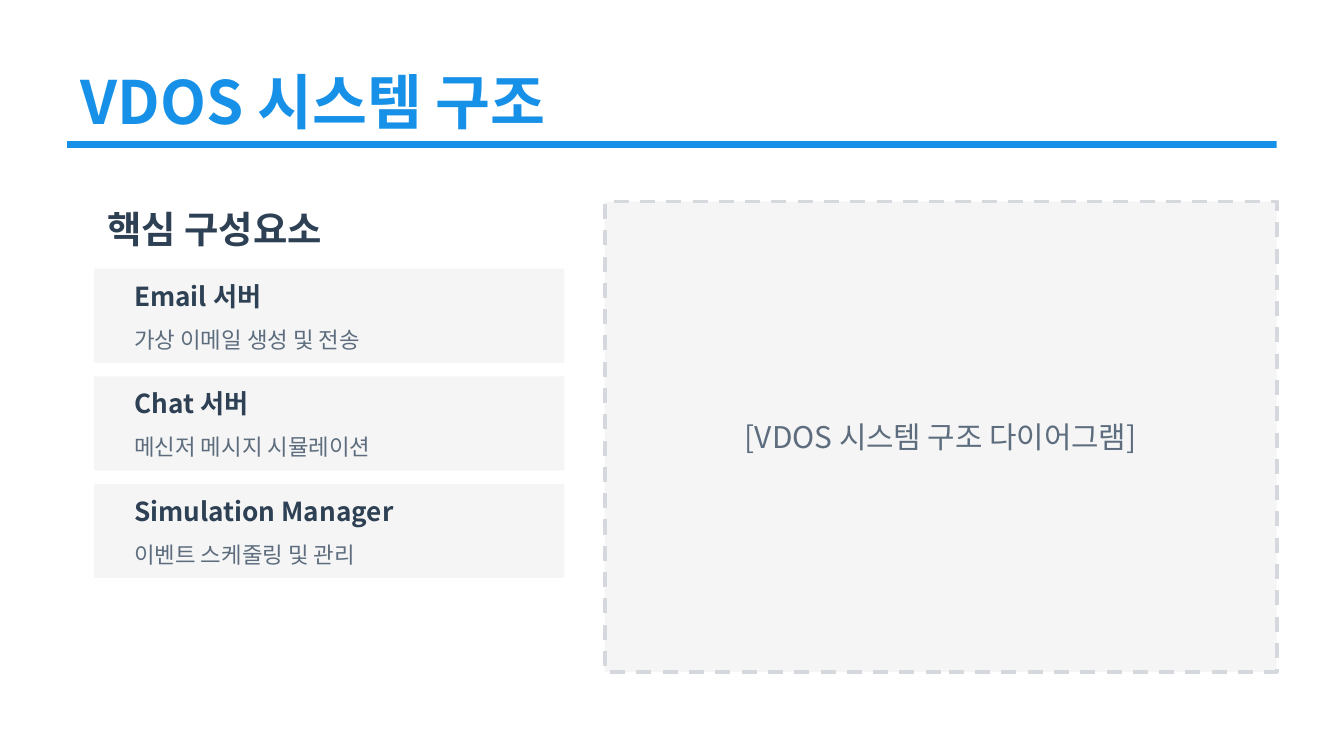
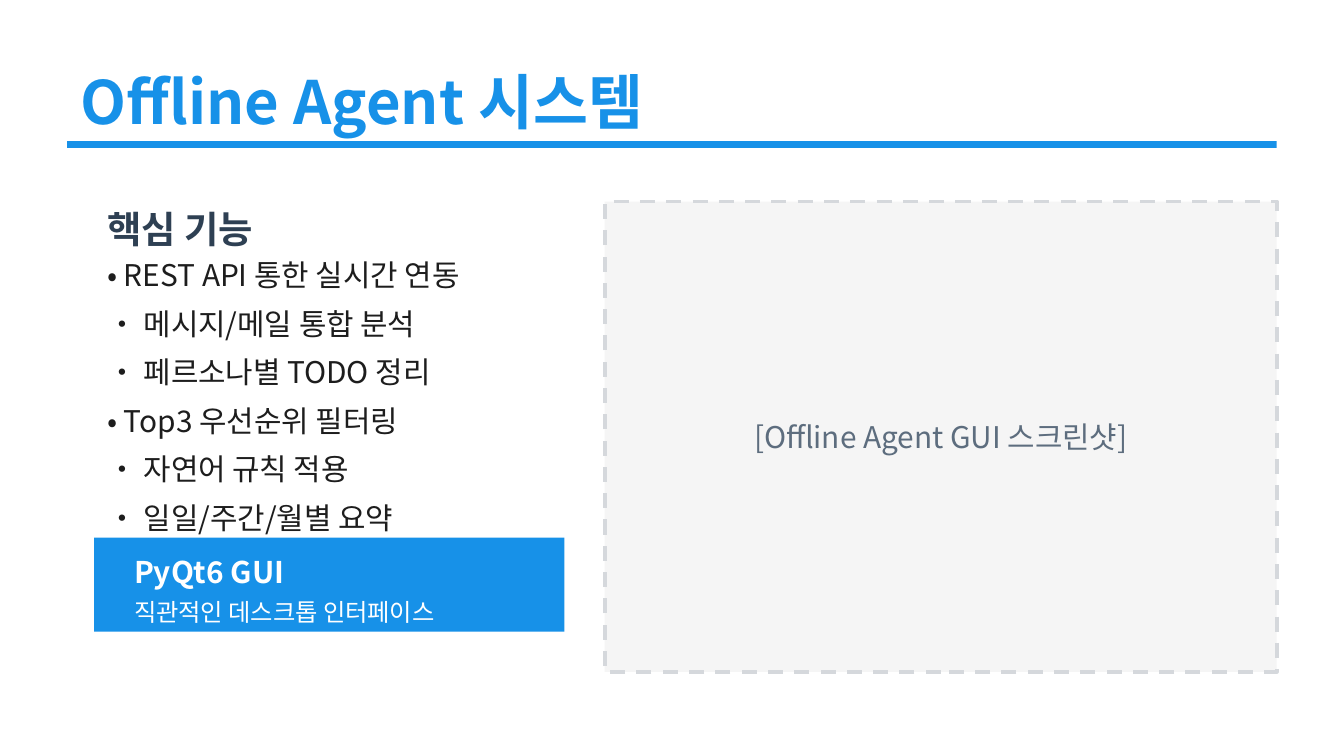
"""Build two slides on the VDOS and Offline Agent systems."""
from dataclasses import dataclass

from lxml.etree import SubElement
from pptx import Presentation
from pptx.dml.color import RGBColor
from pptx.enum.dml import MSO_LINE
from pptx.enum.shapes import MSO_SHAPE
from pptx.enum.text import MSO_ANCHOR, MSO_AUTO_SIZE, PP_ALIGN
from pptx.oxml.ns import qn
from pptx.util import Inches, Pt


@dataclass(frozen=True)
class Theme:
    face: str = "Noto Sans CJK KR"
    blue: str = "1791E8"
    navy: str = "2E4053"
    slate: str = "5D6D7E"
    ink: str = "1D1D1D"
    pale: str = "F5F5F5"
    edge: str = "D5D8DC"
    white: str = "FFFFFF"
    title: int = 32
    head: int = 20
    body: int = 16
    name: int = 14
    note: int = 13
    small: int = 12


theme = Theme()


def write(slide, text, at, size, color, bold=False, align=PP_ALIGN.LEFT, lead=None, shape=None):
    place = [Inches(v) for v in at]
    if shape is None:
        shape = slide.shapes.add_textbox(*place)
    shape.left, shape.top, shape.width, shape.height = place
    frame = shape.text_frame
    frame.word_wrap = True
    frame.auto_size = MSO_AUTO_SIZE.NONE
    frame.vertical_anchor = MSO_ANCHOR.MIDDLE
    frame.text = text
    for para in frame.paragraphs:
        para.alignment = align
        if lead:
            para.line_spacing = Pt(lead)
        for run in para.runs:
            font = run.font
            font.size, font.bold, font.name = Pt(size), bold, theme.face
            font.color.rgb = RGBColor.from_string(color)
            SubElement(font._element, qn("a:ea"), typeface=theme.face)


def block(slide, at, fill, edge=None):
    shape = slide.shapes.add_shape(MSO_SHAPE.RECTANGLE, *[Inches(v) for v in at])
    shape.shadow.inherit = False
    shape.fill.solid()
    shape.fill.fore_color.rgb = RGBColor.from_string(fill)
    if edge:
        shape.line.color.rgb = RGBColor.from_string(edge)
        shape.line.width = Pt(2)
        shape.line.dash_style = MSO_LINE.DASH
    else:
        shape.line.fill.background()


deck = Presentation()
deck.slide_width, deck.slide_height = Inches(10), Inches(5.625)

pages = [
    ("VDOS 시스템 구조", "핵심 구성요소", "[VDOS 시스템 구조 다이어그램]"),
    ("Offline Agent 시스템", "핵심 기능", "[Offline Agent GUI 스크린샷]"),
]
slides = []
for title, head, label in pages:
    slide = deck.slides.add_slide(deck.slide_layouts[5])
    write(slide, title, (0.5, 0.5, 9, 0.5), theme.title, theme.blue, bold=True,
          shape=slide.shapes.title)
    block(slide, (0.5, 1.05, 9, 0.05), theme.blue)
    write(slide, head, (0.7, 1.5, 3.5, 0.4), theme.head, theme.navy, bold=True)
    block(slide, (4.5, 1.5, 5, 3.5), theme.pale, edge=theme.edge)
    write(slide, label, (4.5, 3, 5, 0.5), theme.body, theme.slate, align=PP_ALIGN.CENTER)
    slides.append(slide)
vdos, agent = slides

parts = [
    ("Email 서버", "가상 이메일 생성 및 전송"),
    ("Chat 서버", "메신저 메시지 시뮬레이션"),
    ("Simulation Manager", "이벤트 스케줄링 및 관리"),
]
for i, (name, role) in enumerate(parts):
    top = 2 + 0.8 * i
    block(vdos, (0.7, top, 3.5, 0.7), theme.pale)
    write(vdos, name, (0.9, top + 0.05, 3.1, 0.3), theme.name, theme.navy, bold=True)
    write(vdos, role, (0.9, top + 0.4, 3.1, 0.25), theme.small, theme.slate)

traits = [
    "• REST API 통한 실시간 연동",
    "• 메시지/메일 통합 분석",
    "• 페르소나별 TODO 정리",
    "• Top3 우선순위 필터링",
    "• 자연어 규칙 적용",
    "• 일일/주간/월별 요약",
]
write(agent, "\n".join(traits), (0.7, 2, 3.5, 1.8), theme.body, theme.ink, lead=26)
block(agent, (0.7, 4, 3.5, 0.7), theme.blue)
write(agent, "PyQt6 GUI", (0.9, 4.1, 3.1, 0.3), theme.body, theme.white, bold=True)
write(agent, "직관적인 데스크톱 인터페이스", (0.9, 4.45, 3.1, 0.2), theme.note, theme.white)

deck.save("out.pptx")
